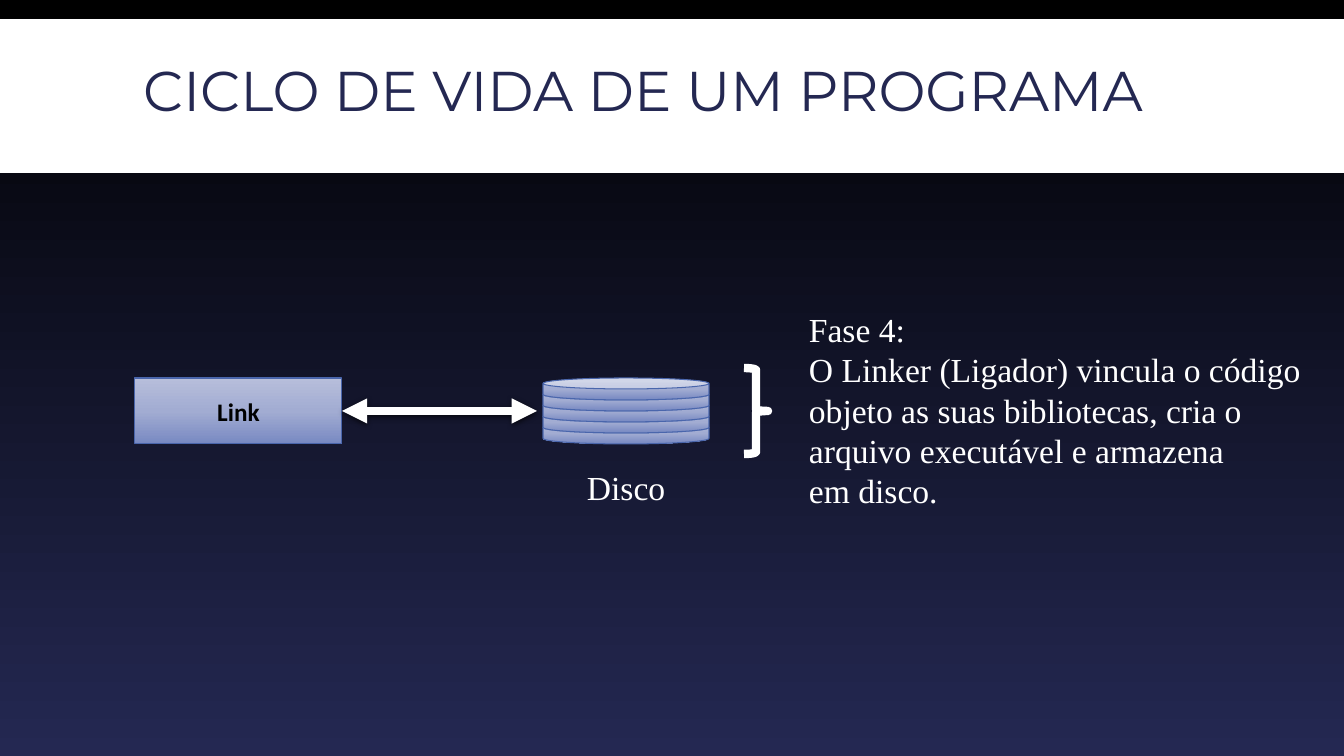
from copy import deepcopy
from lxml import etree
from pptx import Presentation
from pptx.dml.color import RGBColor
from pptx.enum.shapes import MSO_CONNECTOR as CONNECTOR, MSO_SHAPE as SHAPE
from pptx.enum.text import MSO_ANCHOR as ANCHOR, MSO_AUTO_SIZE as AUTO_SIZE, PP_ALIGN as ALIGN
from pptx.oxml import parse_xml
from pptx.oxml.ns import nsdecls, qn
from pptx.util import Pt

PX = 12192000 / 1344
COLORS = {
    "black": "000000", "navy": "242852", "white": "FFFFFF", "outline": "4A66AC",
    "light": "B7BEDB", "middle": "A2ACD2", "deep": "7889C2",
}


def px(*lengths):
    return [round(length * PX) for length in lengths]


def paint_gradient(fill, element, names):
    """Fill from top to bottom with evenly spaced colours."""
    fill.gradient()
    fill.gradient_angle = 270
    stop_list = next(element.iter(qn("a:gsLst")))
    for _ in names[2:]:
        stop_list.append(deepcopy(stop_list[0]))
    for i, (stop, name) in enumerate(zip(fill.gradient_stops, names)):
        stop.position = i / (len(names) - 1)
        stop.color.rgb = RGBColor.from_string(COLORS[name])


prs = Presentation()
prs.slide_width, prs.slide_height = px(1344, 756)
slide = prs.slides.add_slide(prs.slide_layouts[5])
shapes = slide.shapes
white = RGBColor.from_string(COLORS["white"])

# Background and title band
paint_gradient(slide.background.fill, slide.element, ["black", "navy"])
band = shapes.add_shape(SHAPE.RECTANGLE, *px(0, 19, 1344, 154))
band.shadow.inherit = False
band.fill.solid()
band.fill.fore_color.rgb = white
band.line.fill.background()
shapes.title.element.addprevious(band.element)

# Title
title = shapes.title
title.left, title.top, title.width, title.height = px(133, 19, 1079, 150)
title.text_frame.text = "CICLO DE VIDA DE UM PROGRAMA"
title.text_frame.auto_size = AUTO_SIZE.NONE
title.text_frame.vertical_anchor = ANCHOR.MIDDLE
heading = title.text_frame.paragraphs[0]
heading.alignment = ALIGN.LEFT
heading.line_spacing = 0.85
heading.runs[0].font.size = Pt(40)
heading.runs[0].font.name = "Montserrat"
heading.runs[0].font.color.rgb = RGBColor.from_string(COLORS["navy"])

# Linker box and disk, stacked from the bottom platter up
link = shapes.add_shape(SHAPE.RECTANGLE, *px(135, 378, 207, 66))
disk = shapes.add_group_shape()
platters = [disk.shapes.add_shape(SHAPE.CAN, *px(543, 378 + 11 * level, 166, 22))
            for level in reversed(range(5))]
for platter in platters:
    platter.adjustments[0] = 0.5
for part in [link, *platters]:
    part.shadow.inherit = False
    paint_gradient(part.fill, part.element, ["light", "middle", "deep"])
    part.line.color.rgb = RGBColor.from_string(COLORS["outline"])
    part.line.width = Pt(0.75)

link.text_frame.text = "Link"
link.text_frame.vertical_anchor = ANCHOR.MIDDLE
link_label = link.text_frame.paragraphs[0]
link_label.alignment = ALIGN.CENTER
link_label.runs[0].font.size = Pt(18)
link_label.runs[0].font.name = "Calibri"
link_label.runs[0].font.bold = True
link_label.runs[0].font.color.rgb = RGBColor.from_string(COLORS["black"])

# Two-way arrow and brace
arrow = shapes.add_connector(CONNECTOR.STRAIGHT, *px(342, 411, 537, 411))
arrow.begin_connect(link, 3)
brace = shapes.add_shape(SHAPE.RIGHT_BRACE, *px(744, 368, 24, 86))
brace.shadow.inherit = False
brace.fill.background()
for stroke in (arrow, brace):
    stroke.line.color.rgb = white
    stroke.line.width = Pt(6)
for end in ("a:headEnd", "a:tailEnd"):
    etree.SubElement(arrow.line._get_or_add_ln(), qn(end), type="triangle")
arrow.element.spPr.append(parse_xml(
    f'<a:effectLst {nsdecls("a")}><a:outerShdw blurRad="50800" dist="15240" dir="5400000">'
    f'<a:srgbClr val="{COLORS["black"]}"><a:alpha val="68000"/></a:srgbClr>'
    '</a:outerShdw></a:effectLst>'))

# Phase description and disk label
phase = ["Fase 4:", "O Linker (Ligador) vincula o código", "objeto as suas bibliotecas, cria o",
         "arquivo executável e armazena", "em disco."]
for box, lines in [((799, 304, 540, 214), phase), ((577, 462, 100, 50), ["Disco"])]:
    caption = shapes.add_textbox(*px(*box)).text_frame
    caption.word_wrap = False
    caption.auto_size = AUTO_SIZE.SHAPE_TO_FIT_TEXT
    caption.text = "\n".join(lines)
    for paragraph in caption.paragraphs:
        font = paragraph.runs[0].font
        font.size = Pt(24)
        font.name = "Times New Roman"
        font.color.rgb = white

prs.save("out.pptx")
